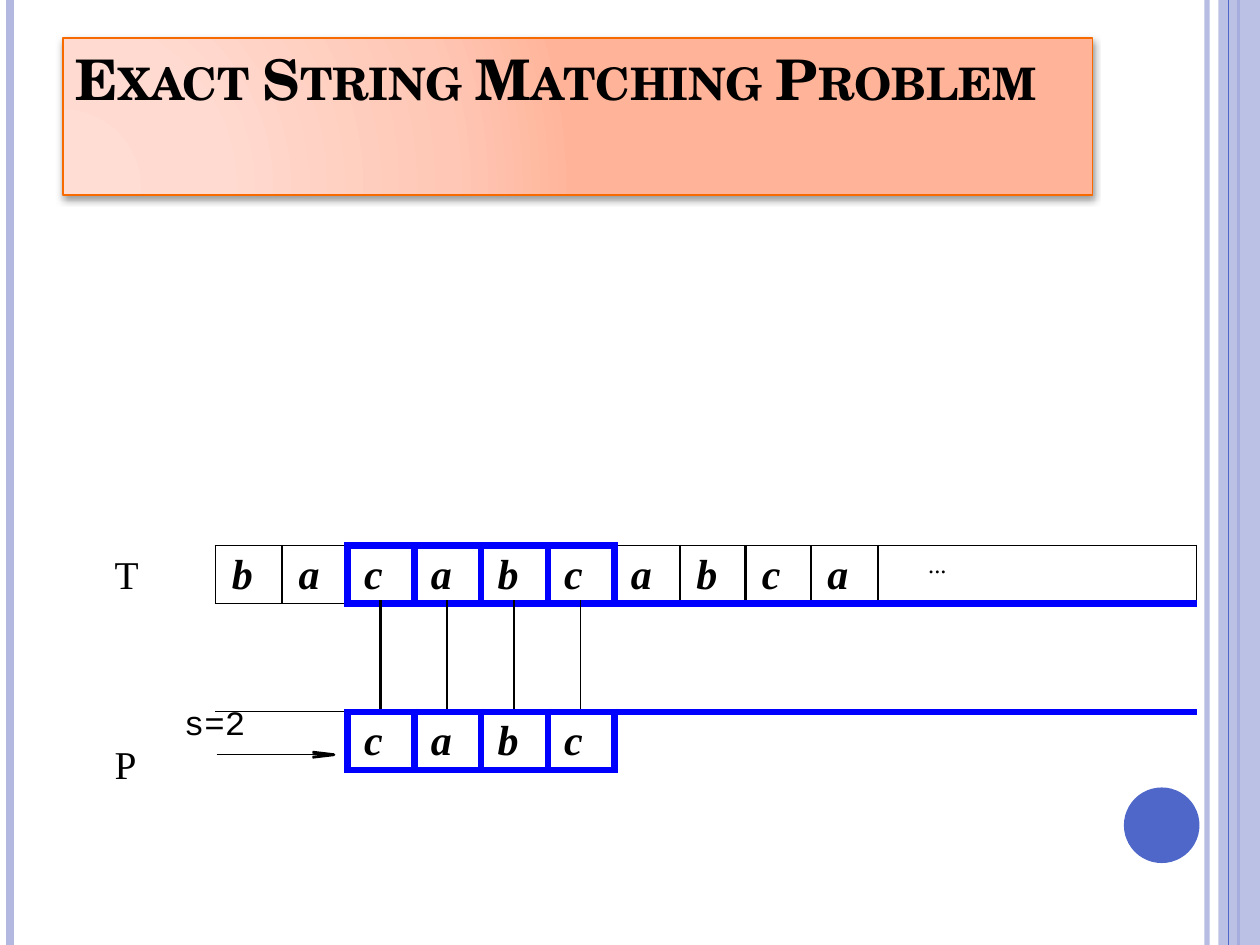
from pptx import Presentation
from pptx import util as u
from pptx.dml.color import RGBColor
from pptx.enum import shapes, text
from pptx.oxml import parse_xml
from pptx.oxml.ns import nsdecls, qn
from pptx.oxml.xmlchemy import OxmlElement

Inches, Pt = u.Inches, u.Pt
BLACK = RGBColor(0, 0, 0)
BLUE = RGBColor(0x00, 0x00, 0xFF)
LAVENDER = RGBColor(0xB2, 0xB8, 0xE0)
INDIGO = RGBColor(0x4E, 0x67, 0xC8)
ORANGE = RGBColor(0xF7, 0x6A, 0x00)
TITLE_STOPS = [(0, "FFDDD4"), (30, "FFDAD0"), (75, "FFC7B5"), (100, "FFB398")]

HAIR, THIN, MEDIUM, THICK = (BLACK, 0.5), (BLACK, 1), (BLACK, 1.5), (BLUE, 4.25)
COLUMNS = [0.53, 0.52] + [0.26, 0.27] * 4 + [0.52] * 3 + [0.53, 2.53]
ROWS = [0.46, 0.86, 0.46]
MATCH = [(2, 3, "c"), (4, 5, "a"), (6, 7, "b"), (8, 9, "c")]
# Each row lists its cells as (first column, last column, text).
CELLS = [
    [(0, 0, "b"), (1, 1, "a"), *MATCH, (10, 10, "a"), (11, 11, "b"),
     (12, 12, "c"), (13, 13, "a"), (14, 14, "...")],
    [(0, 2, ""), (3, 4, ""), (5, 6, ""), (7, 8, ""), (9, 14, "")],
    [(0, 1, ""), *MATCH, (10, 14, "")],
]
# Horizontal rules by column, one list per row edge from the top.
HORIZONTAL = [
    [THIN] * 2 + [THICK] * 8 + [THIN] * 5,
    [THIN] * 2 + [THICK] * 13,
    [HAIR] * 2 + [THICK] * 13,
    [None] * 2 + [THICK] * 8 + [None] * 5,
]
# Vertical rules by column edge, one mapping per row.
MATCH_EDGES = {edge: THICK for edge in range(2, 11, 2)}
VERTICAL = [
    {0: THIN, 1: MEDIUM, **MATCH_EDGES, 11: MEDIUM, 12: MEDIUM, 13: MEDIUM,
     14: THIN, 15: THIN},
    {3: MEDIUM, 5: THIN, 7: THIN, 9: THIN},
    MATCH_EDGES,
]


def set_font(paragraph, name, size, bold=False, italic=False):
    font = paragraph.font
    font.name, font.size = name, Pt(size)
    font.bold, font.italic = bold, italic
    font.color.rgb = BLACK


def set_alpha(fill_parent, percent):
    color = next(fill_parent.iter(qn("a:srgbClr")))
    alpha = OxmlElement("a:alpha")
    alpha.set("val", str(percent * 1000))
    color.append(alpha)


def add_line(slide, start, end, color, width, alpha=None):
    line = slide.shapes.add_connector(
        shapes.MSO_CONNECTOR.STRAIGHT, *(Inches(value) for value in start + end))
    line.line.color.rgb = color
    line.line.width = Pt(width)
    properties = line._element.spPr
    if alpha:
        set_alpha(properties, alpha)
    properties.append(OxmlElement("a:effectLst"))


def add_filled(slide, kind, box, color, alpha=None):
    shape = slide.shapes.add_shape(kind, *(Inches(value) for value in box))
    shape.shadow.inherit = False
    shape.fill.solid()
    shape.fill.fore_color.rgb = color
    shape.line.fill.background()
    if alpha:
        set_alpha(shape._element.spPr, alpha)


def add_side_bands(slide):
    add_line(slide, (9.58, 0), (9.58, 7.5), LAVENDER, 3, 93)
    add_line(slide, (0.08, 0), (0.08, 7.5), LAVENDER, 4.5)
    add_line(slide, (9.83, 0), (9.83, 7.5), INDIGO, 1.5)
    add_filled(slide, shapes.MSO_SHAPE.RECTANGLE, (9.67, 0, 0.33, 7.5), LAVENDER, 87)
    add_line(slide, (9.75, 0), (9.75, 7.5), INDIGO, 0.75)
    add_filled(slide, shapes.MSO_SHAPE.OVAL, (8.92, 6.25, 0.6, 0.6), INDIGO)


def format_title(slide):
    title = slide.shapes.title
    title.left, title.top = Inches(0.5), Inches(0.3)
    title.width, title.height = Inches(8.17), Inches(1.25)
    title.line.color.rgb = ORANGE
    title.line.width = Pt(1)
    stops = "".join(f'<a:gs pos="{position * 1000}"><a:srgbClr val="{color}"/></a:gs>'
                    for position, color in TITLE_STOPS)
    properties = title._element.spPr
    properties.find(qn("a:ln")).addprevious(parse_xml(
        f'<a:gradFill {nsdecls("a")}><a:gsLst>{stops}</a:gsLst><a:path path="circle">'
        '<a:fillToRect l="5000" t="100000" r="120000" b="10000"/></a:path></a:gradFill>'))
    properties.append(parse_xml(
        f'<a:effectLst {nsdecls("a")}><a:outerShdw blurRad="{Pt(4)}" dist="{Pt(2)}" '
        'dir="5400000" rotWithShape="0"><a:srgbClr val="000000">'
        '<a:alpha val="40000"/></a:srgbClr></a:outerShdw></a:effectLst>'))
    frame = title.text_frame
    frame.text = "Exact String Matching Problem"
    frame.vertical_anchor = text.MSO_ANCHOR.TOP
    frame.auto_size = text.MSO_AUTO_SIZE.NONE
    paragraph = frame.paragraphs[0]
    paragraph.alignment = text.PP_ALIGN.LEFT
    set_font(paragraph, "TeX Gyre Schola", 32, bold=True)
    paragraph._p.pPr.find(qn("a:defRPr")).set("cap", "small")


def add_row_labels(slide):
    box = slide.shapes.add_textbox(Inches(0.9), Inches(4.33), Inches(1.29), Inches(1.86))
    frame = box.text_frame
    frame.word_wrap = True
    frame.margin_left = frame.margin_right = frame.margin_bottom = 0
    frame.margin_top = Inches(0.04)
    labels = [("T", "Times New Roman", 22.5, 0.01, 0, None),
              ("s=2", "Courier New", 19.5, 0.56, 60, 22.4),
              ("P", "Times New Roman", 22.5, 0.01, 0, 26.1)]
    for index, (label, font, size, indent, before, spacing) in enumerate(labels):
        paragraph = frame.add_paragraph() if index else frame.paragraphs[0]
        paragraph.text = label
        paragraph._p.get_or_add_pPr().set("marL", str(Inches(indent)))
        if before:
            paragraph.space_before = Pt(before)
        if spacing:
            paragraph.line_spacing = Pt(spacing)
        set_font(paragraph, font, size)


def add_shift_arrow(slide):
    add_line(slide, (1.72, 5.99), (2.65, 5.99), BLACK, 0.5)
    builder = slide.shapes.build_freeform(Inches(2.48), Inches(6.01))
    builder.add_line_segments([(Inches(2.65), Inches(5.99)), (Inches(2.48), Inches(5.97))],
                              close=False)
    head = builder.convert_to_shape()
    head.shadow.inherit = False
    head.fill.background()
    head.line.color.rgb = BLACK
    head.line.width = Pt(1.63)


def set_borders(cell, **borders):
    properties = cell._tc.get_or_add_tcPr()
    for position, side in enumerate("LRTB"):
        rule = borders[side]
        width = Pt(rule[1]) if rule else 0
        fill = (f'<a:solidFill><a:srgbClr val="{rule[0]}"/></a:solidFill>'
                if rule else "<a:noFill/>")
        properties.insert(position, parse_xml(
            f'<a:ln{side} {nsdecls("a")} w="{width}">{fill}</a:ln{side}>'))


def fill_cell(cell, content):
    cell.margin_left = cell.margin_right = cell.margin_bottom = 0
    cell.margin_top = Inches(0.05)
    paragraph = cell.text_frame.paragraphs[0]
    paragraph.text = content
    dots = content == "..."
    paragraph._p.get_or_add_pPr().set("marL", str(Inches(0.4 if dots else 0.13)))
    set_font(paragraph, "Times New Roman", 14 if dots else 24, not dots, not dots)


def add_matching_table(slide):
    table = slide.shapes.add_table(
        len(ROWS), len(COLUMNS), Inches(1.71), Inches(4.33),
        Inches(sum(COLUMNS)), Inches(sum(ROWS))).table
    table.first_row = table.horz_banding = False
    for column, width in zip(table.columns, COLUMNS):
        column.width = Inches(width)
    for row, height in zip(table.rows, ROWS):
        row.height = Inches(height)
    for row, cells in enumerate(CELLS):
        for first, last, content in cells:
            cell = table.cell(row, first)
            if last > first:
                cell.merge(table.cell(row, last))
            cell.fill.background()
            set_borders(cell, L=VERTICAL[row].get(first), R=VERTICAL[row].get(last + 1),
                        T=HORIZONTAL[row][first], B=HORIZONTAL[row + 1][first])
            if content:
                fill_cell(cell, content)


def main():
    presentation = Presentation()
    presentation.slide_width, presentation.slide_height = Inches(10), Inches(7.5)
    slide = presentation.slides.add_slide(presentation.slide_layouts[5])
    add_side_bands(slide)
    add_row_labels(slide)
    add_shift_arrow(slide)
    add_matching_table(slide)
    format_title(slide)
    presentation.save("out.pptx")


if __name__ == "__main__":
    main()
